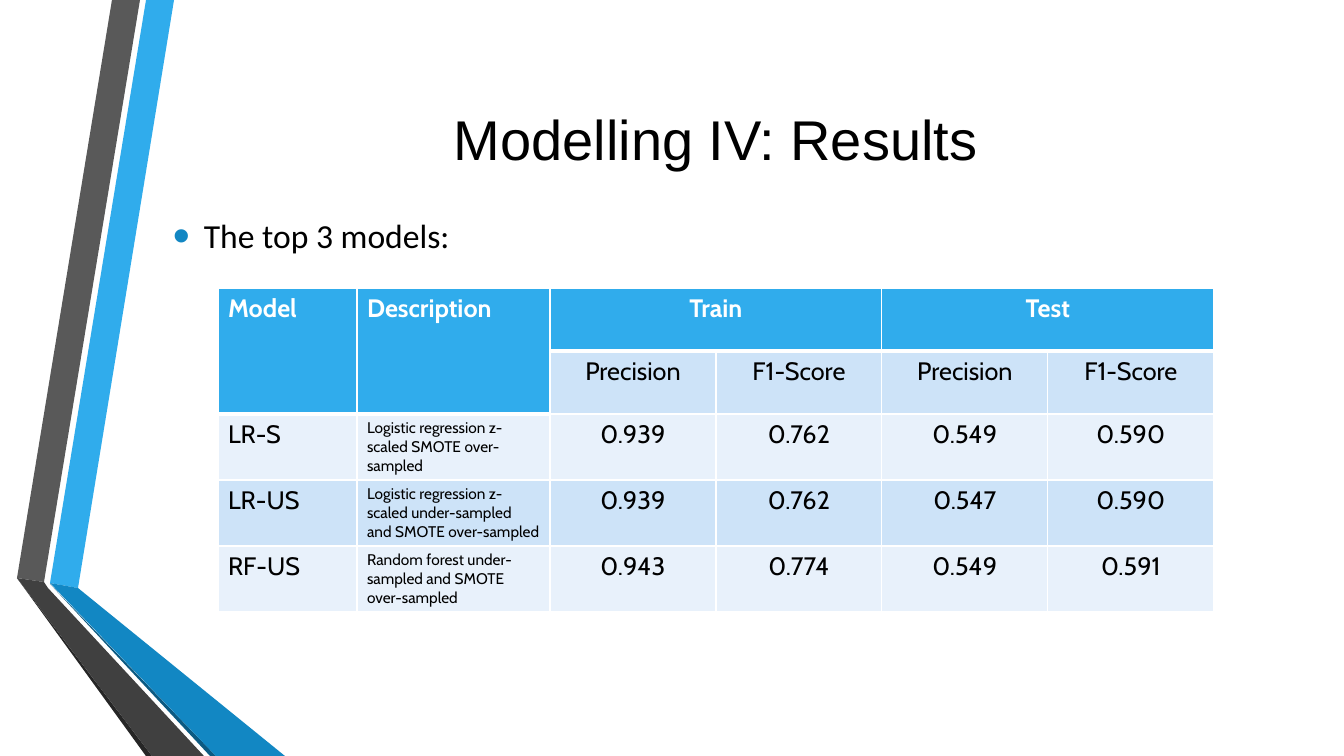
"""Build the slide that lists the results of the top three models."""
from lxml.etree import SubElement
from pptx import Presentation
from pptx.dml.color import RGBColor
from pptx.enum.text import MSO_ANCHOR as Anchor, PP_ALIGN as Align
from pptx.oxml.ns import qn
from pptx.util import Pt

SCALE = 914400 / 100.8
COLORS = {
    "white": "FFFFFF", "black": "000000", "sky": "30ACEC", "blue": "1287C3",
    "navy": "0C5A82", "grey": "595959", "charcoal": "404040", "soot": "262626",
    "band": "CDE3F8", "pale": "E8F1FB",
}
RIBBONS = [
    ("sky", [(50, 583), (78, 588), (174, 0), (146, 0)]),
    ("grey", [(140, 0), (112, 0), (17, 578), (44, 582)]),
    ("soot", [(17, 578), (146, 756), (152, 756)]),
    ("navy", [(50, 584), (210, 756), (216, 756)]),
    ("blue", [(50, 583), (216, 756), (285, 756), (78, 588)]),
    ("charcoal", [(17, 578), (152, 756), (204, 756), (48, 588), (44, 582)]),
]
SCORES = ["Precision", "F1-Score"]
ROWS = [
    ["Model", "Description", "Train", "", "Test", ""],
    ["", "", *SCORES, *SCORES],
    ["LR-S", "Logistic regression z-scaled SMOTE over-sampled",
     "0.939", "0.762", "0.549", "0.590"],
    ["LR-US", "Logistic regression z-scaled under-sampled and SMOTE over-sampled",
     "0.939", "0.762", "0.547", "0.590"],
    ["RF-US", "Random forest under-sampled and SMOTE over-sampled",
     "0.943", "0.774", "0.549", "0.591"],
]
COLUMN_WIDTHS = [139, 193, 166, 166, 166, 166]
ROW_HEIGHTS = [63, 63, 66, 66, 66]
MERGES = [((0, 0), (1, 0)), ((0, 1), (1, 1)), ((0, 2), (0, 3)), ((0, 4), (0, 5))]


def px(length):
    """Turn pixels into EMU."""
    return round(length * SCALE)


def color(name):
    """Look up a named colour."""
    return RGBColor.from_string(COLORS[name])


def write(frame, text, *, font, size, tint="black", bold=False, align=Align.LEFT):
    """Put formatted text into a frame and return its paragraph."""
    frame.word_wrap = True
    paragraph = frame.paragraphs[0]
    paragraph.alignment = align
    run = paragraph.add_run()
    run.text = text
    run.font.name, run.font.size, run.font.bold = font, Pt(size), bold
    run.font.color.rgb = color(tint)
    return paragraph


def add_text(slide, box, text, **formatting):
    """Add a vertically centred text box and return its paragraph."""
    frame = slide.shapes.add_textbox(*map(px, box)).text_frame
    frame.vertical_anchor = Anchor.MIDDLE
    return write(frame, text, **formatting)


def add_bullet(paragraph, tint):
    """Give a paragraph a large coloured bullet with a hanging indent."""
    paragraph.space_before, paragraph.space_after = Pt(5), Pt(6)
    properties = paragraph._p.get_or_add_pPr()
    properties.set("marL", str(px(31)))
    properties.set("indent", str(px(-31)))
    bullet_color = SubElement(properties, qn("a:buClr"))
    SubElement(bullet_color, qn("a:srgbClr"), val=COLORS[tint])
    SubElement(properties, qn("a:buSzPct"), val="145000")
    SubElement(properties, qn("a:buFont"), typeface="Arial")
    SubElement(properties, qn("a:buChar"), char="•")


def add_ribbon(slide, tint, points):
    """Draw one filled polygon of the ribbon decoration."""
    builder = slide.shapes.build_freeform(*points[0], scale=SCALE)
    builder.add_line_segments(points[1:], close=True)
    shape = builder.convert_to_shape()
    shape.shadow.inherit = False
    shape.fill.solid()
    shape.fill.fore_color.rgb = color(tint)
    shape.line.fill.background()


def style_cell(cell, tint, bottom):
    """Set white borders and the fill of a cell."""
    properties = cell._tc.get_or_add_tcPr()
    for side, width in (("L", 1), ("R", 1), ("T", 1), ("B", bottom)):
        line = SubElement(properties, qn(f"a:ln{side}"), w=str(Pt(width)))
        fill = SubElement(line, qn("a:solidFill"))
        SubElement(fill, qn("a:srgbClr"), val=COLORS["white"])
    cell.fill.solid()
    cell.fill.fore_color.rgb = color(tint)


def add_results(slide, left, top):
    """Add the table of model scores."""
    size = px(sum(COLUMN_WIDTHS)), px(sum(ROW_HEIGHTS))
    table = slide.shapes.add_table(
        len(ROWS), len(COLUMN_WIDTHS), px(left), px(top), *size).table
    table.first_row = table.horz_banding = False
    for column, width in zip(table.columns, COLUMN_WIDTHS):
        column.width = px(width)
    for row, height in zip(table.rows, ROW_HEIGHTS):
        row.height = px(height)
    for start, end in MERGES:
        table.cell(*start).merge(table.cell(*end))
    for i, texts in enumerate(ROWS):
        for j, text in enumerate(texts):
            cell = table.cell(i, j)
            header = i == 0 or (i == 1 and j < 2)
            tint = "sky" if header else "band" if i % 2 else "pale"
            style_cell(cell, tint, bottom=3 if header else 1)
            if text:
                write(cell.text_frame, text, font="Cabin", bold=header,
                      size=11 if j == 1 and not header else 18,
                      tint="white" if header else "black",
                      align=Align.CENTER if j > 1 else Align.LEFT)


def main():
    """Assemble and save the slide."""
    presentation = Presentation()
    presentation.slide_width, presentation.slide_height = px(1344), px(756)
    slide = presentation.slides.add_slide(presentation.slide_layouts[6])
    for tint, points in RIBBONS:
        add_ribbon(slide, tint, points)
    add_text(slide, (163, 76, 1105, 124), "Modelling IV: Results",
             font="Arial", size=40, align=Align.CENTER)
    intro = add_text(slide, (163, 200, 1105, 71), "The top 3 models:",
                     font="Calibri", size=24)
    add_bullet(intro, "blue")
    add_results(slide, 218, 288)
    presentation.save("out.pptx")


main()
